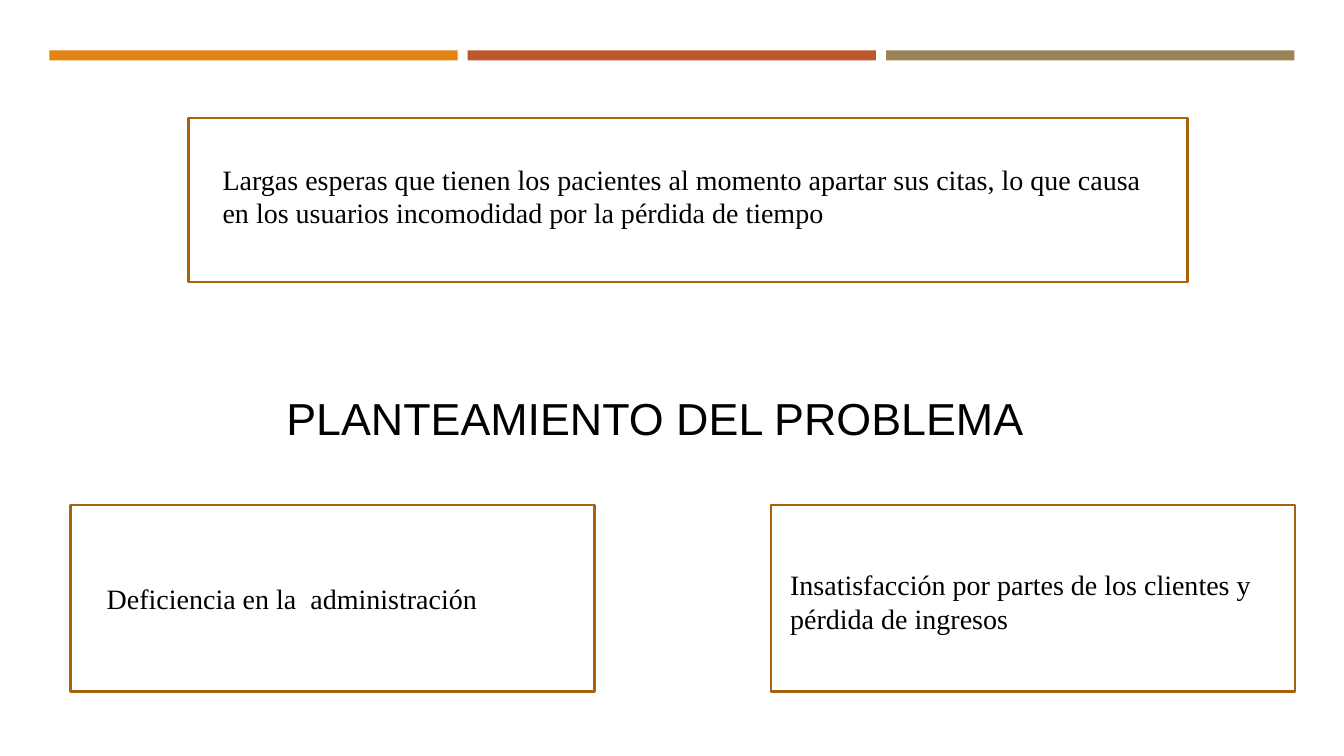
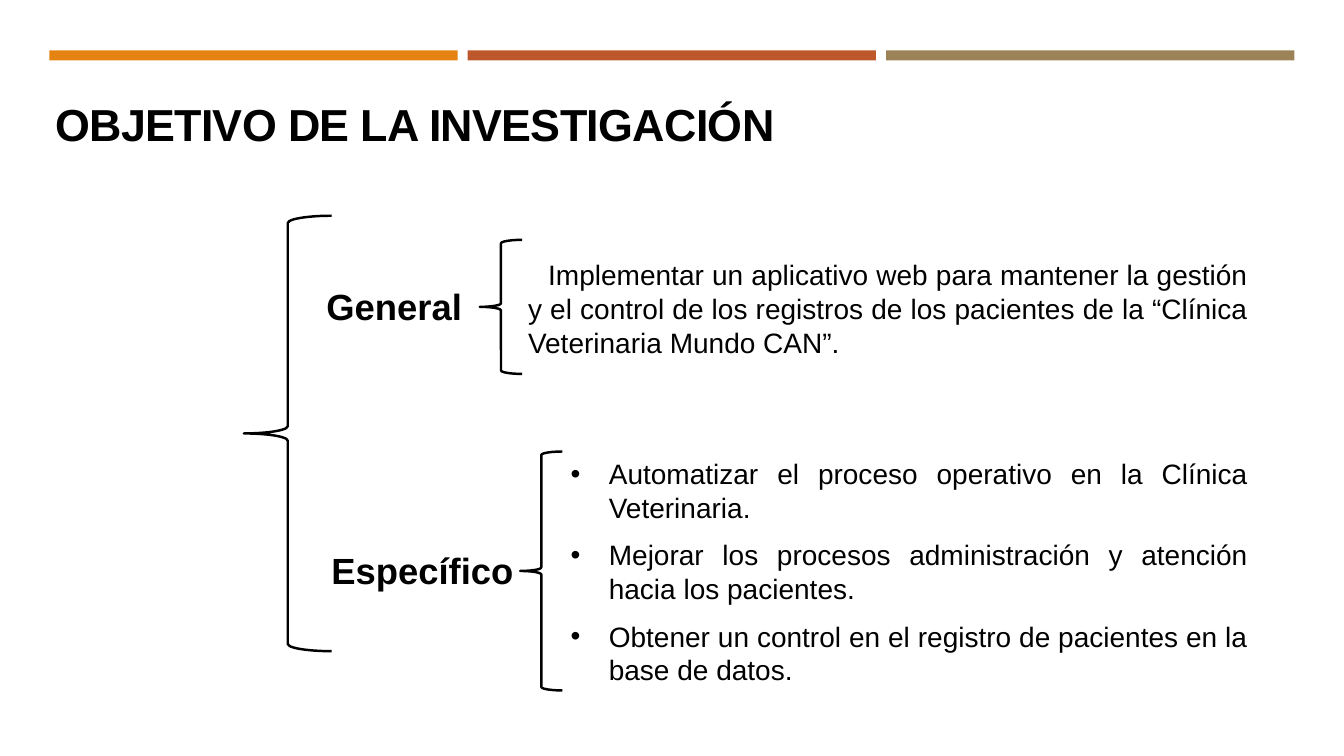
from pptx import Presentation
from pptx import util as u
from pptx.dml.color import RGBColor
from pptx.enum import shapes, text
from pptx.oxml.ns import qn

BLACK = RGBColor(0, 0, 0)
BROWN = RGBColor(0xA9, 0x61, 0x0D)
BAND_COLORS = [RGBColor(0xE4, 0x83, 0x12), RGBColor(0xBD, 0x58, 0x2C), RGBColor(0x9B, 0x83, 0x57)]
SANS, SERIF = "Arial", "Times New Roman"
CELL = u.Inches(0.1)
COLS, ROWS = 133.33, 75
RECT, BRACE = shapes.MSO_SHAPE.RECTANGLE, shapes.MSO_SHAPE.LEFT_BRACE


def grid(*cells):
    """Turn grid cells into slide lengths."""
    return [round(c * CELL) for c in cells]


def add_outline(s, kind, box, color):
    """Draw an unfilled preset shape."""
    sp = s.shapes.add_shape(kind, *grid(*box))
    sp.shadow.inherit = False
    sp.fill.background()
    sp.line.color.rgb = color
    sp.line.width = u.Pt(1.75)


def format_text(tf, size, font=SANS, bold=False, align=text.PP_ALIGN.LEFT, after=0):
    """Wrap the text and give all its paragraphs one style."""
    tf.word_wrap = True
    tf.auto_size = text.MSO_AUTO_SIZE.NONE
    for p in tf.paragraphs:
        p.alignment = align
        p.space_before, p.space_after = u.Pt(0), u.Pt(after)
        for r in p.runs:
            r.font.size, r.font.name, r.font.bold = u.Pt(size), font, bold
            r.font.color.rgb = BLACK


def set_indent(p, left, first):
    """Set the left margin and first-line indent of a paragraph."""
    pPr = p._p.get_or_add_pPr()
    pPr.set("marL", str(u.Inches(left)))
    pPr.set("indent", str(u.Inches(first)))


def add_text(s, box, words, size, **style):
    """Add a text box and return its text frame."""
    tf = s.shapes.add_textbox(*grid(*box)).text_frame
    tf.text = words
    format_text(tf, size, **style)
    return tf


def place(sp, box):
    """Move a placeholder to a box."""
    sp.left, sp.top, sp.width, sp.height = grid(*box)


def add_bands(s, box, gap=1):
    """Split a box into equal coloured bands."""
    x, y, w, h = box
    n = len(BAND_COLORS)
    width = (w - gap * (n - 1)) / n
    for i, color in enumerate(BAND_COLORS):
        sp = s.shapes.add_shape(RECT, *grid(x + i * (width + gap), y, width, h))
        sp.shadow.inherit = False
        sp.fill.solid()
        sp.fill.fore_color.rgb = color
        sp.line.fill.background()


def new_slide(prs, layout, title, box, **style):
    """Start a slide with the bands and its title."""
    s = prs.slides.add_slide(prs.slide_layouts.get_by_name(layout))
    add_bands(s, (4.9, 5, 123.5, 1))
    place(s.shapes.title, box)
    tf = s.shapes.title.text_frame
    tf.text = title
    format_text(tf, 32, **style)
    return s


def add_card(s, box, words, inset):
    """Draw a framed statement, its text inset by left, top, width, height."""
    x, y = box[:2]
    dx, dy, w, h = inset
    add_outline(s, RECT, box, BROWN)
    add_text(s, (x + dx, y + dy, w, h), words, 20, font=SERIF)


def add_branch(s, box, label, label_box):
    """Draw a brace at the left of a box with its label."""
    add_outline(s, BRACE, box, BLACK)
    add_text(s, label_box, label, 26, bold=True)


def problem_slide(prs):
    """Build the problem statement with its three cards."""
    s = new_slide(prs, "Title Only", "PLANTEAMIENTO DEL PROBLEMA", (27.4, 38.2, 78.7, 6.4))
    add_card(s, (18.7, 11.7, 99.1, 16.3),
             "Largas esperas que tienen los pacientes al momento apartar sus citas, "
             "lo que causa en los usuarios incomodidad por la pérdida de tiempo",
             (2.4, 3.9, 95.4, 7.7))
    add_card(s, (7, 50.1, 52, 18.5), "Deficiencia en la  administración", (2.6, 7.1, 43.3, 4.4))
    add_card(s, (76.5, 50.1, 52, 18.5),
             "Insatisfacción por partes de los clientes y pérdida de ingresos",
             (0.9, 5.7, 49.3, 7.7))


def objectives_slide(prs):
    """Build the tree of general and specific objectives."""
    s = new_slide(prs, "Title and Content", "OBJETIVO DE LA INVESTIGACIÓN", (3.7, 7.2, 74.9, 8.2),
                  bold=True, align=text.PP_ALIGN.CENTER)
    tf = s.shapes.title.text_frame
    tf.vertical_anchor = text.MSO_ANCHOR.BOTTOM
    tf.paragraphs[0].line_spacing = 0.85
    tf.paragraphs[0].runs[0]._r.get_or_add_rPr().set("spc", "-50")

    add_outline(s, BRACE, (24.2, 21.4, 8.7, 43.2), BLACK)
    add_branch(s, (47.6, 23.8, 4.2, 13.3), "General", (31.4, 27.7, 16.9, 5.4))
    add_branch(s, (51.6, 44.8, 4.2, 23.7), "Específico", (31.9, 53.9, 24, 5.5))

    body = dict(align=text.PP_ALIGN.JUSTIFY, after=10)
    tf = add_text(s, (51.4, 25.1, 73.4, 11.1),
                  "Implementar un aplicativo web para mantener la gestión y el control de los "
                  "registros de los pacientes de la “Clínica Veterinaria Mundo CAN”.", 20, **body)
    set_indent(tf.paragraphs[0], 0, 0.2)

    sp = s.placeholders[1]
    place(sp, (55.6, 44.8, 69.2, 24))
    sp.text_frame.text = "\n".join([
        "Automatizar el proceso operativo en la Clínica Veterinaria.",
        "Mejorar los procesos administración y atención hacia los pacientes.",
        "Obtener un control en el registro de pacientes en la base de datos.",
    ])
    format_text(sp.text_frame, 20, **body)
    for p in sp.text_frame.paragraphs:
        set_indent(p, 0.38, -0.38)


prs = Presentation()
prs.slide_width, prs.slide_height = grid(COLS, ROWS)
problem_slide(prs)
objectives_slide(prs)
prs.save("out.pptx")
